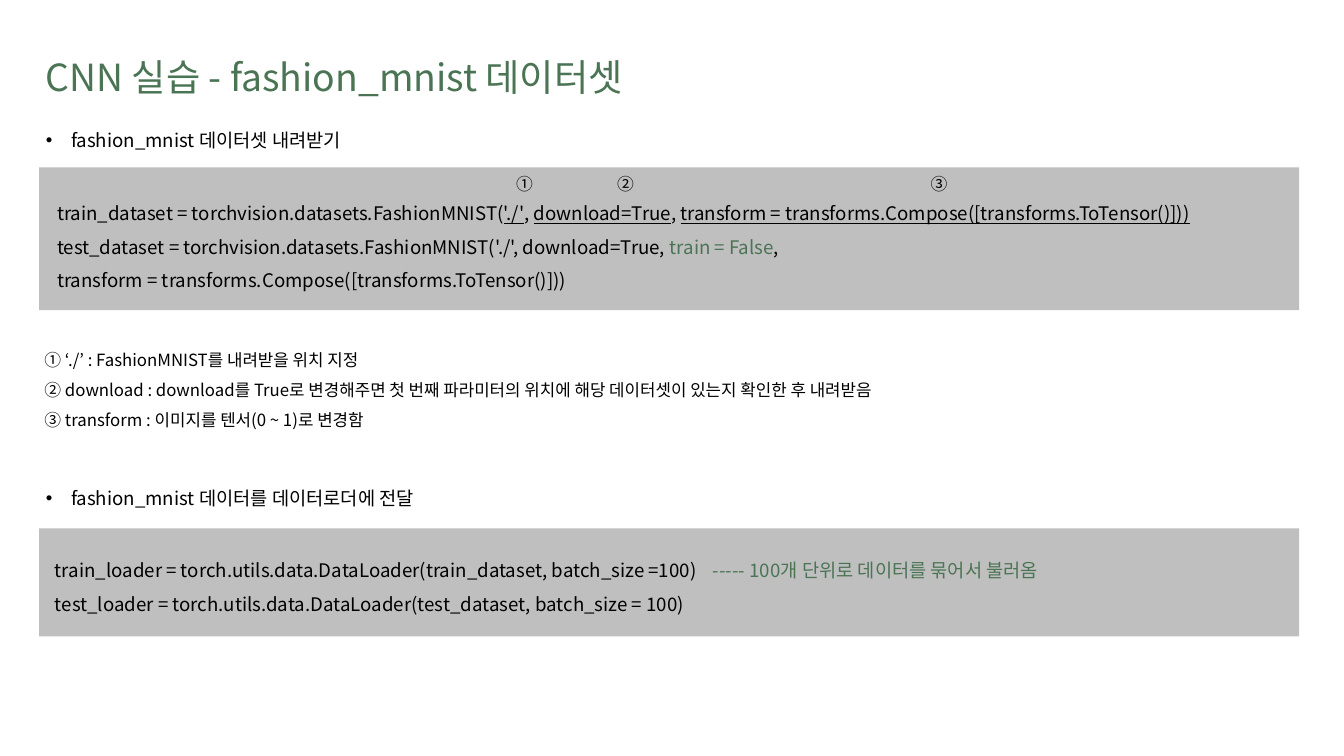
from typing import NamedTuple

from lxml import etree
from pptx import Presentation
from pptx.dml.color import RGBColor
from pptx.enum.shapes import MSO_SHAPE
from pptx.oxml.ns import qn
from pptx.util import Emu, Pt

RECTANGLE = MSO_SHAPE.RECTANGLE
PX = 9525
FONT = "Noto Sans CJK KR"
BLACK = RGBColor(0x00, 0x00, 0x00)
GREEN = RGBColor(0x4B, 0x74, 0x55)
GRAY = RGBColor(0xBF, 0xBF, 0xBF)
LEFT = 56
PANEL_WIDTH = 1800
BULLET_INDENT = 36
COMMENT_TAB = 940


class Box(NamedTuple):
    left: int
    top: int
    width: int
    height: int


class Span(NamedTuple):
    text: str
    color: RGBColor = BLACK
    underline: bool = False


class Marker(NamedTuple):
    text: str
    left: int
    width: int


Line = list[Span]

PANELS = [Box(LEFT, 239, PANEL_WIDTH, 204), Box(LEFT, 755, PANEL_WIDTH, 154)]
MARKERS = [Marker("①", 728, 88), Marker("②", 872, 80), Marker("③", 1320, 56)]
HEADINGS = [
    ("fashion_mnist 데이터셋 내려받기", Box(LEFT, 180, 513, 42)),
    ("fashion_mnist 데이터를 데이터로더에 전달", Box(LEFT, 691, 600, 42)),
]
DATASET_CODE = [
    [
        Span("train_dataset = torchvision.datasets.FashionMNIST("),
        Span("'./'", underline=True),
        Span(", "),
        Span("download=True", underline=True),
        Span(", "),
        Span("transform = transforms.Compose([transforms.ToTensor()]))", underline=True),
    ],
    [
        Span("test_dataset = torchvision.datasets.FashionMNIST('./', download=True, "),
        Span("train = False", GREEN),
        Span(","),
    ],
    [Span("transform = transforms.Compose([transforms.ToTensor()]))")],
]
LOADER_CODE = [
    [
        Span("train_loader = torch.utils.data.DataLoader(train_dataset, batch_size =100)\t"),
        Span("----- 100개 단위로 데이터를 묶어서 불러옴", GREEN),
    ],
    [Span("test_loader = torch.utils.data.DataLoader(test_dataset, batch_size = 100)")],
]
NOTES = [
    [Span("① ‘./’ : FashionMNIST를 내려받을 위치 지정")],
    [Span("② download : download를 True로 변경해주면 첫 번째 파라미터의 위치에 "
          "해당 데이터셋이 있는지 확인한 후 내려받음")],
    [Span("③ transform : 이미지를 텐서(0 ~ 1)로 변경함")],
]


def px(value: int) -> Emu:
    return Emu(value * PX)


def add_panel(slide, box: Box) -> None:
    shape = slide.shapes.add_shape(RECTANGLE, *map(px, box))
    shape.shadow.inherit = False
    shape.fill.solid()
    shape.fill.fore_color.rgb = GRAY
    shape.line.fill.background()


def add_bullet(paragraph) -> None:
    properties = paragraph._p.get_or_add_pPr()
    properties.set("marL", str(px(BULLET_INDENT)))
    properties.set("indent", str(px(-BULLET_INDENT)))
    etree.SubElement(properties, qn("a:buFont"), typeface="Arial")
    etree.SubElement(properties, qn("a:buChar"), char="•")


def add_tab(paragraph, position: int) -> None:
    tabs = etree.SubElement(paragraph._p.get_or_add_pPr(), qn("a:tabLst"))
    etree.SubElement(tabs, qn("a:tab"), pos=str(px(position)), algn="l")


def add_text(slide, box: Box, lines: list[Line], *, size: int = 20,
             spacing: float = 1.0, bullet: bool = False, tab: int = 0) -> None:
    frame = slide.shapes.add_textbox(*map(px, box)).text_frame
    frame.word_wrap = True
    for index, line in enumerate(lines):
        paragraph = frame.add_paragraph() if index else frame.paragraphs[0]
        paragraph.line_spacing = spacing
        if bullet:
            add_bullet(paragraph)
        if tab:
            add_tab(paragraph, tab)
        for span in line:
            run = paragraph.add_run()
            run.text = span.text
            run.font.name = FONT
            run.font.size = Pt(size)
            run.font.color.rgb = span.color
            if span.underline:
                run.font.underline = True


def main() -> None:
    presentation = Presentation()
    presentation.slide_width = px(1920)
    presentation.slide_height = px(1080)
    slide = presentation.slides.add_slide(presentation.slide_layouts[6])

    add_text(slide, Box(LEFT, 72, 1128, 74),
             [[Span("CNN 실습 - fashion_mnist 데이터셋", GREEN)]], size=40)
    for panel in PANELS:
        add_panel(slide, panel)
    add_text(slide, Box(72, 268, 1809, 151), DATASET_CODE, spacing=1.5)
    add_text(slide, Box(69, 778, 1648, 102), LOADER_CODE, spacing=1.5, tab=COMMENT_TAB)
    for heading, box in HEADINGS:
        add_text(slide, box, [[Span(heading)]], bullet=True)
    add_text(slide, Box(54, 480, 1648, 136), NOTES, size=18, spacing=1.5)
    for marker in MARKERS:
        add_text(slide, Box(marker.left, 244, marker.width, 38),
                 [[Span(marker.text)]], size=18)

    presentation.save("out.pptx")


if __name__ == "__main__":
    main()
